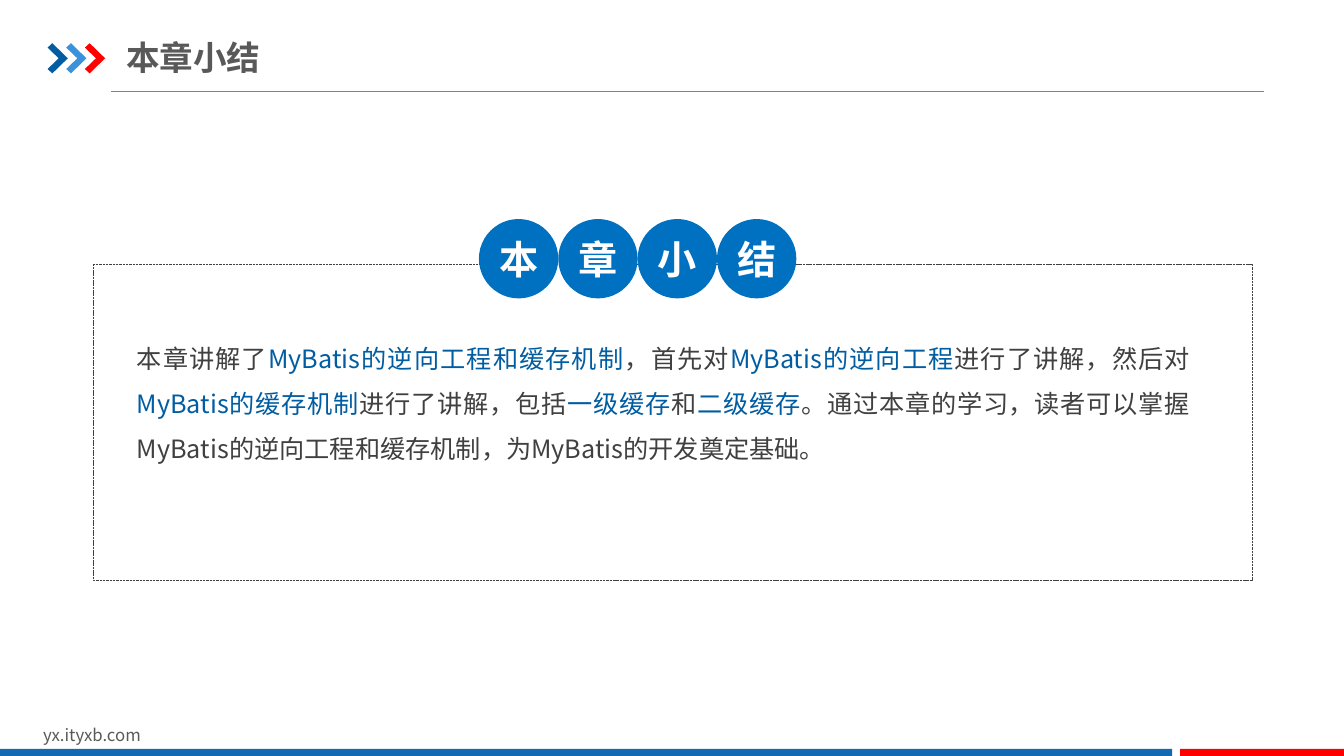
from dataclasses import dataclass

from lxml import etree
from pptx import Presentation
from pptx.dml.color import RGBColor
from pptx.enum.dml import MSO_LINE
from pptx.enum.shapes import MSO_CONNECTOR, MSO_SHAPE
from pptx.enum.text import MSO_ANCHOR, MSO_AUTO_SIZE, PP_ALIGN
from pptx.oxml.ns import qn
from pptx.util import Cm, Pt

RECT, OVAL = MSO_SHAPE.RECTANGLE, MSO_SHAPE.OVAL
ROUND_RECT = MSO_SHAPE.ROUNDED_RECTANGLE
STRAIGHT = MSO_CONNECTOR.STRAIGHT
DASH = MSO_LINE.SQUARE_DOT
LEFT, CENTER, JUSTIFY = PP_ALIGN.LEFT, PP_ALIGN.CENTER, PP_ALIGN.JUSTIFY
TOP, MIDDLE = MSO_ANCHOR.TOP, MSO_ANCHOR.MIDDLE

FONT = "Noto Sans CJK SC"
COLORS = {
    "rule": "808080", "title": "595959", "body": "404040", "key": "005DA2",
    "sky": "3992DB", "red": "FF0000", "bar": "1369B2", "disc": "0070C0",
    "white": "FFFFFF",
}


@dataclass
class Box:
    left: float
    top: float
    width: float
    height: float

    def emu(self) -> tuple:
        return Cm(self.left), Cm(self.top), Cm(self.width), Cm(self.height)


@dataclass
class Bar:
    box: Box
    color: str


@dataclass
class Run:
    text: str
    color: str = "body"


FOOTER_BARS = [
    Bar(Box(0, 18.87, 29.54, 0.22), "bar"),
    Bar(Box(29.74, 18.87, 4.14, 0.22), "red"),
]
CHEVRON_COLORS = ["key", "sky", "red"]
CHEVRON = [(0, 0.11), (0.12, 0), (0.51, 0.38), (0.12, 0.76), (0, 0.65), (0.28, 0.38)]
SUMMARY = [
    Run("本章讲解了"),
    Run("MyBatis的逆向工程和缓存机制", "key"),
    Run("，首先对"),
    Run("MyBatis的逆向工程", "key"),
    Run("进行了讲解，然后对"),
    Run("MyBatis的缓存机制", "key"),
    Run("进行了讲解，包括"),
    Run("一级缓存", "key"),
    Run("和"),
    Run("二级缓存", "key"),
    Run("。通过本章的学习，读者可以掌握MyBatis的逆向工程和缓存机制，"
        "为MyBatis的开发奠定基础。"),
]


def rgb(name: str) -> RGBColor:
    return RGBColor.from_string(COLORS[name])


def write(tf, runs: list[Run], *, size: float, bold: bool = False, align=LEFT,
          anchor=TOP, spacing: float = 1.0, insets: tuple = (0.25, 0.13)) -> None:
    """Fill a text frame with one paragraph of coloured runs."""
    tf.word_wrap = True
    tf.auto_size = MSO_AUTO_SIZE.NONE
    tf.vertical_anchor = anchor
    tf.margin_left = tf.margin_right = Cm(insets[0])
    tf.margin_top = tf.margin_bottom = Cm(insets[1])
    p = tf.paragraphs[0]
    p.alignment = align
    p.line_spacing = spacing
    for run in runs:
        r = p.add_run()
        r.text = run.text
        r.font.size = Pt(size)
        r.font.bold = bold
        r.font.color.rgb = rgb(run.color)
        r.font.name = FONT
        # East Asian characters take their own typeface element
        ea = etree.Element(qn("a:ea"), typeface=FONT)
        r.font._element.find(qn("a:latin")).addnext(ea)


def add_filled(s, kind, box: Box, color: str):
    sp = s.shapes.add_shape(kind, *box.emu())
    sp.shadow.inherit = False
    sp.fill.solid()
    sp.fill.fore_color.rgb = rgb(color)
    sp.line.fill.background()
    return sp


def add_chevron(s, left: float, top: float, color: str) -> None:
    points = [(Cm(left + x), Cm(top + y)) for x, y in CHEVRON]
    builder = s.shapes.build_freeform(*points[0])
    builder.add_line_segments(points[1:], close=True)
    sp = builder.convert_to_shape()
    sp.shadow.inherit = False
    sp.fill.solid()
    sp.fill.fore_color.rgb = rgb(color)
    sp.line.fill.background()


def add_text(s, box: Box, runs: list[Run], **fmt) -> None:
    write(s.shapes.add_textbox(*box.emu()).text_frame, runs, **fmt)


def add_header(s) -> None:
    rule = s.shapes.add_connector(STRAIGHT, Cm(2.79), Cm(2.31), Cm(31.86), Cm(2.31))
    rule.line.color.rgb = rgb("rule")
    rule.line.width = Pt(0.75)
    etree.SubElement(rule._element.spPr, qn("a:effectLst"))
    for i, color in enumerate(CHEVRON_COLORS):
        add_chevron(s, 1.2 + 0.47 * i, 1.09, color)
    title = s.shapes.title
    title.left, title.top, title.width, title.height = Box(3.18, 0.74, 15.75, 1.4).emu()
    write(title.text_frame, [Run("本章小结", "title")], size=24, bold=True,
          anchor=MIDDLE, insets=(0, 0.18))


def add_footer(s) -> None:
    add_text(s, Box(0.84, 18.14, 8.08, 0.76), [Run("yx.ityxb.com", "title")], size=12)
    for bar in FOOTER_BARS:
        add_filled(s, RECT, bar.box, bar.color)


def add_summary(s) -> None:
    add_text(s, Box(3.12, 8.08, 27.2, 3.81), SUMMARY, size=18, align=JUSTIFY,
             spacing=1.5, insets=(0.33, 0.18))
    # Dashed frame
    frame = s.shapes.add_shape(ROUND_RECT, *Box(2.34, 6.66, 29.21, 7.95).emu())
    frame.adjustments[0] = 0
    frame.shadow.inherit = False
    frame.fill.background()
    frame.line.color.rgb = rgb("body")
    frame.line.width = Pt(0.25)
    frame.line.dash_style = DASH
    # Heading, one character per disc
    size = 2.0
    for i, char in enumerate("本章小结"):
        disc = add_filled(s, OVAL, Box(12.07 + size * i, 5.52, size, size), "disc")
        write(disc.text_frame, [Run(char, "white")], size=28, bold=True,
              align=CENTER, anchor=MIDDLE, insets=(0, 0))


def main() -> None:
    prs = Presentation()
    prs.slide_width, prs.slide_height = Cm(33.87), Cm(19.05)
    s = prs.slides.add_slide(prs.slide_layouts[5])
    add_header(s)
    add_footer(s)
    add_summary(s)
    prs.save("out.pptx")


if __name__ == "__main__":
    main()
